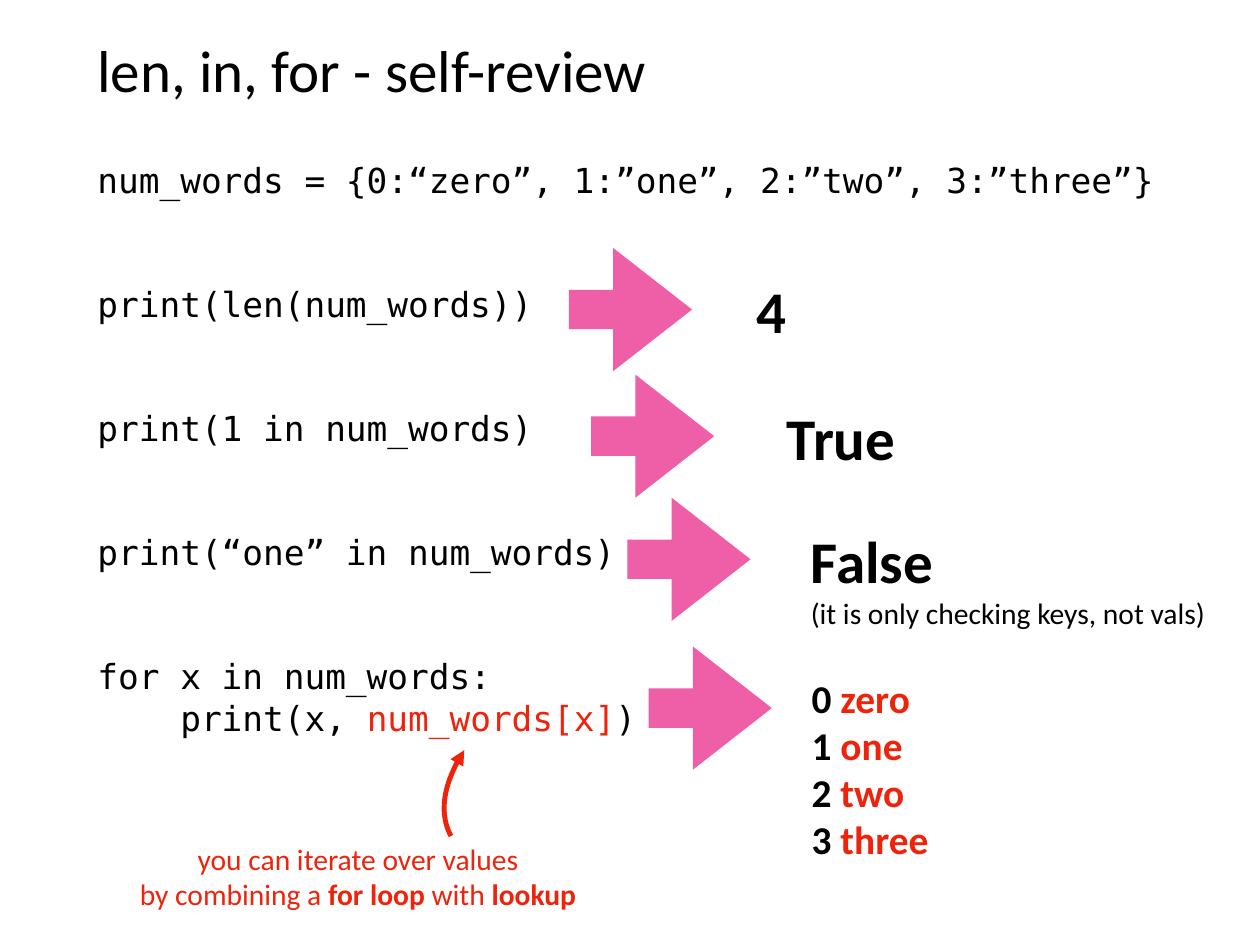
"""Builds the self-review slide on len, in and for with dictionaries."""
from dataclasses import dataclass

from lxml.etree import SubElement
from pptx import Presentation
from pptx.dml.color import RGBColor as RGB
from pptx.enum.shapes import MSO_SHAPE as SHAPE
from pptx.enum.text import MSO_ANCHOR as ANCHOR, MSO_AUTO_SIZE as FIT, PP_ALIGN as ALIGN
from pptx.oxml.ns import qn
from pptx.util import Inches, Pt


@dataclass(frozen=True)
class Theme:
    sans: str = "Calibri"
    mono: str = "DejaVu Sans Mono"
    black: RGB = RGB(0x00, 0x00, 0x00)
    red: RGB = RGB(0xEE, 0x23, 0x0C)
    pink: RGB = RGB(0xEF, 0x5F, 0xA7)
    big: int = 48
    medium: int = 32
    code: int = 28
    small: int = 24
    code_line: float = 33.6
    curve: int = 4


T = Theme()

TITLE = "len, in, for - self-review"
TITLE_BOX = (1.04, 0.28, 12.14, 0.99)
CODE_BOX = (1.04, 1.74, 12.62, 8.4)
CODE_BLOCKS = [
    [[("num_words = {0:“zero”, 1:”one”, 2:”two”, 3:”three”}", T.black)]],
    [[("print(len(num_words))", T.black)]],
    [[("print(1 in num_words)", T.black)]],
    [[("print(“one” in num_words)", T.black)]],
    [
        [("for x in num_words:", T.black)],
        [("    print(x, ", T.black), ("num_words[x]", T.red), (")", T.black)],
    ],
]

ARROW_SIZE = 1.39
ARROW_SHAPE = (0.32, 0.64)
ARROWS = [(6.42, 2.8), (6.67, 4.23), (7.08, 5.62), (7.32, 7.3)]

PAIRS = ["zero", "one", "two", "three"]
LABELS = [
    ((8.45, 3.06, 0.52, 0.88), ANCHOR.MIDDLE, ALIGN.CENTER,
     [[("4", T.big, T.black, True)]]),
    ((8.82, 4.49, 1.76, 0.88), ANCHOR.MIDDLE, ALIGN.LEFT,
     [[("True", T.big, T.black, True)]]),
    ((9.09, 5.86, 4.58, 1.26), ANCHOR.TOP, ALIGN.LEFT,
     [[("False", T.big, T.black, True)],
      [("(it is only checking keys, not vals)", T.small, T.black, False)]]),
    ((9.1, 7.54, 1.77, 2.27), ANCHOR.MIDDLE, ALIGN.LEFT,
     [[(f"{key} ", T.medium, T.black, True), (word, T.medium, T.red, True)]
      for key, word in enumerate(PAIRS)]),
    ((1.29, 9.45, 5.5, 0.89), ANCHOR.MIDDLE, ALIGN.CENTER,
     [[("you can iterate over values", T.small, T.red, False)],
      [("by combining a ", T.small, T.red, False), ("for loop", T.small, T.red, True),
       (" with ", T.small, T.red, False), ("lookup", T.small, T.red, True)]]),
]

CURVE = [(5.24, 8.47), (5, 8.85), (4.95, 9.18), (5.09, 9.44)]
CURVE_STEPS = 24


def place(sp, box):
    sp.left, sp.top, sp.width, sp.height = map(Inches, box)


def set_frame(tf, anchor, wrap, fit):
    tf.margin_left = tf.margin_right = tf.margin_top = tf.margin_bottom = Inches(0.06)
    tf.vertical_anchor, tf.word_wrap, tf.auto_size = anchor, wrap, fit


def next_paragraph(tf, i):
    return tf.add_paragraph() if i else tf.paragraphs[0]


def add_run(p, text, size, color, name=T.sans, bold=False):
    r = p.add_run()
    r.text = text
    r.font.name, r.font.size, r.font.bold = name, Pt(size), bold
    r.font.color.rgb = color


def add_title(sp):
    place(sp, TITLE_BOX)
    set_frame(sp.text_frame, ANCHOR.MIDDLE, True, FIT.NONE)
    p = sp.text_frame.paragraphs[0]
    p.alignment = ALIGN.LEFT
    add_run(p, TITLE, T.big, T.black)


def add_code(sp):
    place(sp, CODE_BOX)
    tf = sp.text_frame
    set_frame(tf, ANCHOR.TOP, True, FIT.NONE)
    for i, block in enumerate(CODE_BLOCKS):
        for j, line in enumerate(block):
            p = next_paragraph(tf, i + j)
            pPr = p._p.get_or_add_pPr()
            pPr.set("marL", "0")
            pPr.set("indent", "0")
            SubElement(pPr, qn("a:buNone"))
            p.alignment = ALIGN.LEFT
            p.line_spacing = Pt(T.code_line)
            p.space_before = Pt(2 * T.code_line if i and not j else 0)
            p.space_after = Pt(0)
            for text, color in line:
                add_run(p, text, T.code, color, T.mono)


def add_arrow(shapes, left, top):
    sp = shapes.add_shape(SHAPE.RIGHT_ARROW, *map(Inches, (left, top, ARROW_SIZE, ARROW_SIZE)))
    sp.adjustments[0], sp.adjustments[1] = ARROW_SHAPE
    sp.shadow.inherit = False
    sp.fill.solid()
    sp.fill.fore_color.rgb = T.pink
    sp.line.fill.background()


def add_label(shapes, box, anchor, align, lines):
    tf = shapes.add_textbox(*map(Inches, box)).text_frame
    set_frame(tf, anchor, False, FIT.SHAPE_TO_FIT_TEXT)
    for i, line in enumerate(lines):
        p = next_paragraph(tf, i)
        p.alignment = align
        for text, size, color, bold in line:
            add_run(p, text, size, color, bold=bold)


def curve_point(t):
    weights = ((1 - t) ** 3, 3 * t * (1 - t) ** 2, 3 * t ** 2 * (1 - t), t ** 3)
    return tuple(Inches(sum(w * c for w, c in zip(weights, axis))) for axis in zip(*CURVE))


def add_curve(shapes):
    points = [curve_point(i / CURVE_STEPS) for i in range(CURVE_STEPS + 1)]
    builder = shapes.build_freeform(*points[0])
    builder.add_line_segments(points[1:], close=False)
    sp = builder.convert_to_shape()
    sp.shadow.inherit = False
    sp.fill.background()
    sp.line.color.rgb = T.red
    sp.line.width = Pt(T.curve)
    SubElement(sp._element.spPr.find(qn("a:ln")), qn("a:headEnd"), type="triangle")


def main():
    prs = Presentation()
    prs.slide_width, prs.slide_height = Inches(14.22), Inches(10.67)
    s = prs.slides.add_slide(prs.slide_layouts[1])
    add_title(s.shapes.title)
    add_code(s.placeholders[1])
    for left, top in ARROWS:
        add_arrow(s.shapes, left, top)
    for label in LABELS:
        add_label(s.shapes, *label)
    add_curve(s.shapes)
    prs.save("out.pptx")


if __name__ == "__main__":
    main()
